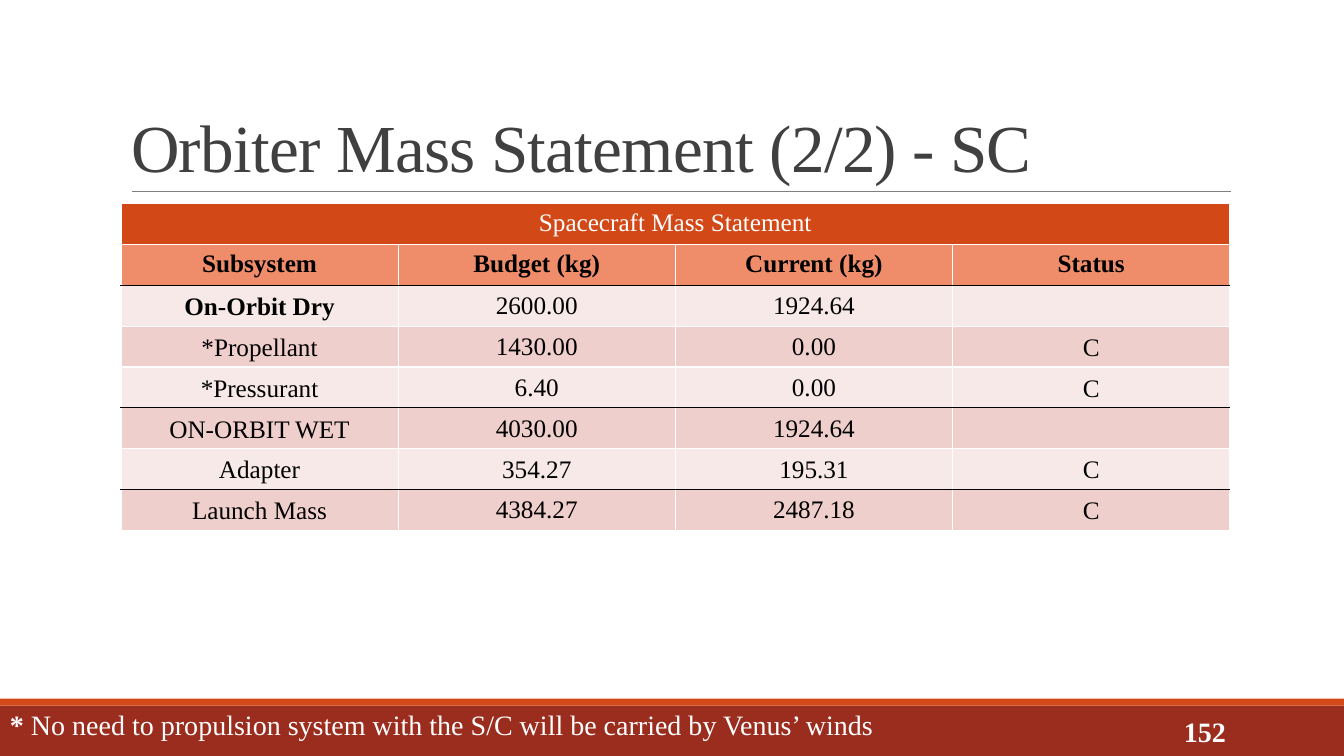
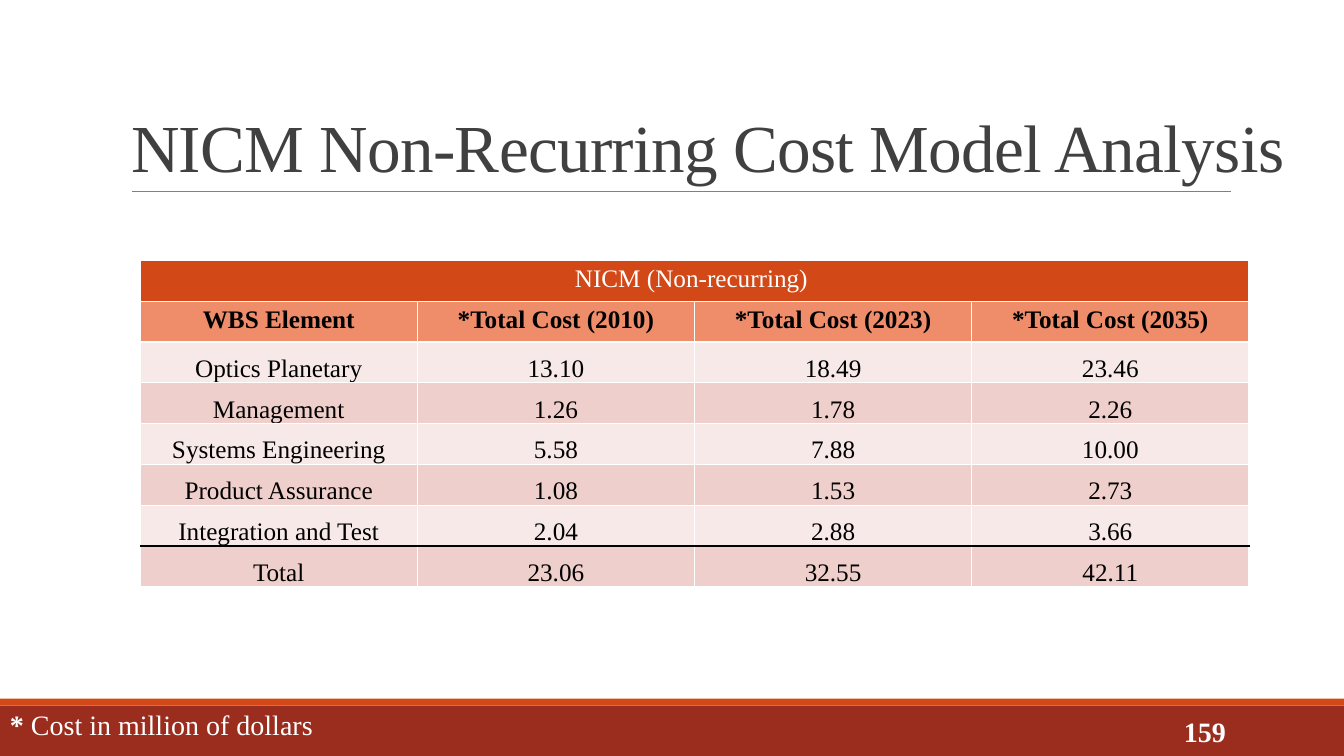
from pptx import Presentation
from pptx.dml.color import RGBColor as Rgb
from pptx.enum.shapes import MSO_CONNECTOR as Link, MSO_SHAPE as Form
from pptx.enum.text import MSO_ANCHOR as Anchor, MSO_AUTO_SIZE as Fit, PP_ALIGN as Align
from pptx.oxml.ns import qn
from pptx.util import Pt
from lxml.etree import SubElement as Sub

HUES = {
    "white": "FFFFFF",
    "black": "000000",
    "title": "404040",
    "rule": "808080",
    "band": "9B2D1F",
    "strip": "D34817",
    "head": "EF8C6A",
    "pale": "F7E9E8",
    "rose": "EFCFCC",
}
FONT = "Times New Roman"


def hue(name):
    return Rgb.from_string(HUES[name])


def write(frame, text, size=18, color="black", bold=False, align=Align.LEFT,
          lead="", space=None, track=None):
    para = frame.paragraphs[0]
    para.alignment = align
    if space:
        para.line_spacing = space
    para.font.size = Pt(size)
    for part, heavy in ((lead, True), (text, bold)):
        if not part:
            continue
        run = para.add_run()
        run.text = part
        font = run.font
        font.name = FONT
        font.size = Pt(size)
        font.bold = heavy
        font.color.rgb = hue(color)
        if track is not None:
            run._r.get_or_add_rPr().set("spc", str(int(track * 100)))


def edge(cell, **sides):
    props = cell._tc.get_or_add_tcPr()
    for side in "LRTB":
        line = Sub(props, qn(f"a:ln{side}"), w=str(Pt(1)))
        fill = Sub(line, qn("a:solidFill"))
        Sub(fill, qn("a:srgbClr"), val=HUES[sides.get(side, "white")])


class Deck:
    def __init__(self):
        self.show = Presentation()
        self.show.slide_width = Pt(960)
        self.show.slide_height = Pt(540)
        self.slide = None

    def page(self, title, number, note, title_w=792, note_w=670):
        self.slide = self.show.slides.add_slide(self.show.slide_layouts[5])
        self.bar(504, 36, "band")
        self.bar(499, 5, "strip")
        self.rule(94.3, 879.1, 136.8)
        self.title(title, title_w)
        self.label(str(number), 779.8, 508.3, 103, 28.8, Anchor.MIDDLE,
                   bold=True, align=Align.RIGHT)
        box = self.label(note, 0, 501.8, note_w, 31.7, Anchor.TOP, lead="* ")
        box.text_frame.auto_size = Fit.SHAPE_TO_FIT_TEXT

    def bar(self, top, high, color):
        shape = self.slide.shapes.add_shape(
            Form.RECTANGLE, 0, Pt(top), self.show.slide_width, Pt(high))
        shape.shadow.inherit = False
        shape.fill.solid()
        shape.fill.fore_color.rgb = hue(color)
        shape.line.fill.background()

    def rule(self, left, right, top):
        line = self.slide.shapes.add_connector(
            Link.STRAIGHT, Pt(left), Pt(top), Pt(right), Pt(top))
        line.line.color.rgb = hue("rule")
        line.line.width = Pt(0.5)
        Sub(line._element.spPr, qn("a:effectLst"))

    def title(self, text, wide):
        box = self.slide.shapes.title
        box.left, box.top, box.width, box.height = map(Pt, (86.4, 22.3, wide, 114.5))
        frame = box.text_frame
        frame.word_wrap = True
        frame.auto_size = Fit.NONE
        frame.vertical_anchor = Anchor.BOTTOM
        write(frame, text, size=48, color="title", space=0.85, track=-0.5)

    def label(self, text, left, top, wide, high, anchor, **form):
        box = self.slide.shapes.add_textbox(Pt(left), Pt(top), Pt(wide), Pt(high))
        frame = box.text_frame
        frame.word_wrap = True
        frame.vertical_anchor = anchor
        write(frame, text, size=20, color="white", **form)
        return box

    def table(self, left, top, name, rows, dark, style, bold=()):
        count, cols = len(rows) + 1, len(rows[0])
        grid = self.slide.shapes.add_table(
            count, cols, Pt(left), Pt(top), Pt(792), Pt(29.16 * count)).table
        grid.first_row = grid.horz_banding = False
        grid.cell(0, 0).merge(grid.cell(0, cols - 1))
        cells = [[name] + [""] * (cols - 1)] + rows
        for i, row in enumerate(cells):
            grid.rows[i].height = Pt(29.16)
            for j, text in enumerate(row):
                cell = grid.cell(i, j)
                edge(cell, T="black" if i in dark else "white",
                     B="black" if i + 1 in dark else "white")
                cell.fill.solid()
                fill = ("strip", "head")[i] if i < 2 else ("pale", "rose")[i % 2]
                cell.fill.fore_color.rgb = hue(fill)
                if i > 1:
                    cell.vertical_anchor, foot = style[j]
                    cell.margin_left = cell.margin_right = cell.margin_top = Pt(0.72)
                    cell.margin_bottom = Pt(foot)
                write(cell.text_frame, text, color="black" if i else "white",
                      bold=i == 1 or text in bold, align=Align.CENTER)


def main():
    deck = Deck()
    low, mid, base = (Anchor.BOTTOM, 3.6), (Anchor.MIDDLE, 0), (Anchor.BOTTOM, 0)

    deck.page("Orbiter Mass Statement (2/2) - SC", 152,
              "No need to propulsion system with the S/C will be carried by Venus’ winds")
    deck.table(86.4, 145.6, "Spacecraft Mass Statement", [
        ["Subsystem", "Budget (kg)", "Current (kg)", "Status"],
        ["On-Orbit Dry", "2600.00", "1924.64", ""],
        ["*Propellant", "1430.00", "0.00", "C"],
        ["*Pressurant", "6.40", "0.00", "C"],
        ["ON-ORBIT WET", "4030.00", "1924.64", ""],
        ["Adapter", "354.27", "195.31", "C"],
        ["Launch Mass", "4384.27", "2487.18", "C"],
    ], dark={2, 5, 7}, style=[low, mid, mid, low], bold={"On-Orbit Dry"})

    deck.page("NICM Non-Recurring Cost Model Analysis", 159,
              "Cost in million of dollars", title_w=873.4, note_w=314)
    deck.table(100.1, 186, "NICM (Non-recurring) ", [
        ["WBS Element"] + [f"*Total Cost ({year})" for year in (2010, 2023, 2035)],
        ["Optics Planetary", "13.10", "18.49", "23.46"],
        ["Management", "1.26", "1.78", "2.26"],
        ["Systems Engineering", "5.58", "7.88", "10.00"],
        ["Product Assurance", "1.08", "1.53", "2.73"],
        ["Integration and Test", "2.04", "2.88", "3.66"],
        ["Total", "23.06", "32.55", "42.11"],
    ], dark={7}, style=[base] * 4)

    deck.show.save("out.pptx")


if __name__ == "__main__":
    main()
